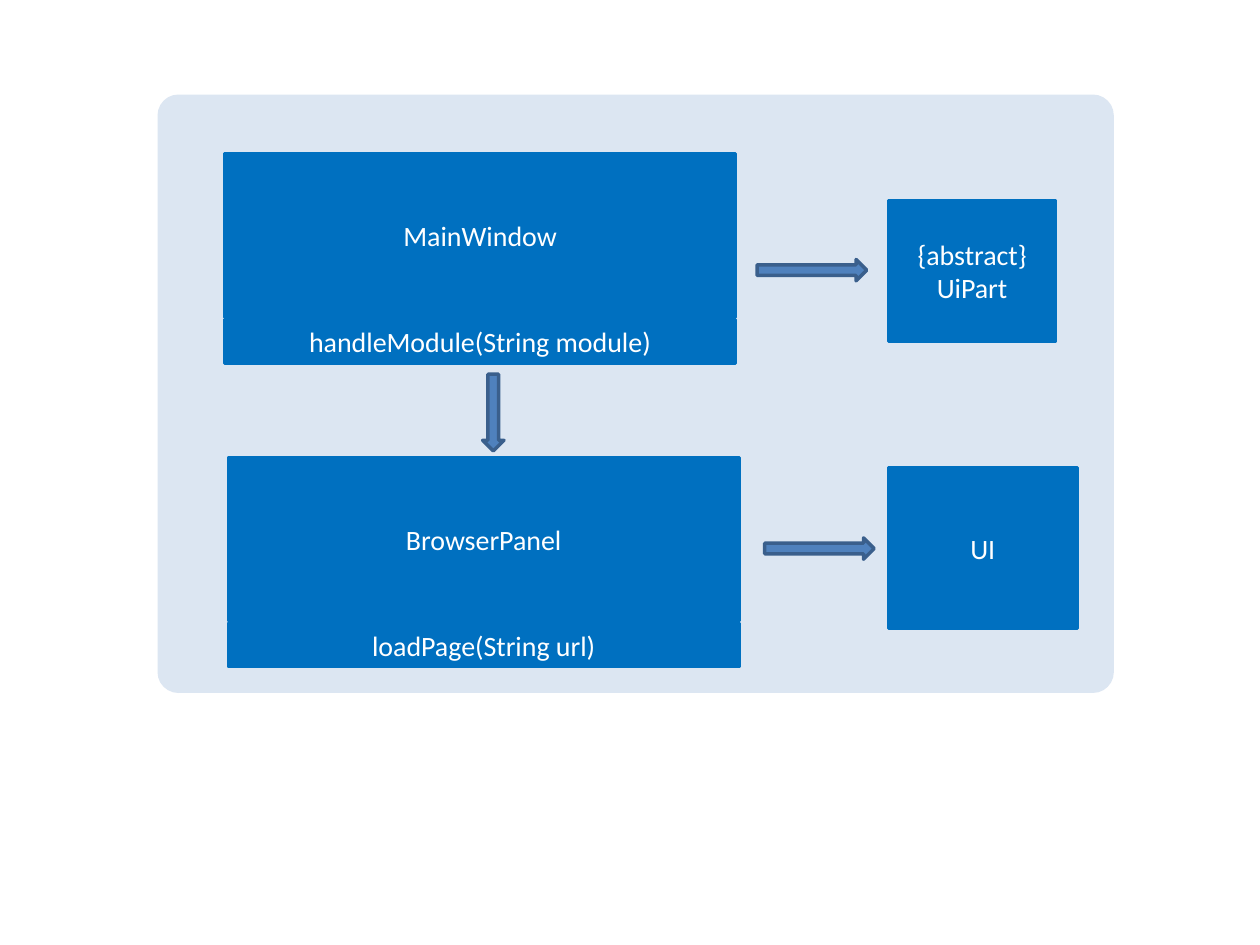
from pptx import Presentation
from pptx.dml.color import RGBColor
from pptx.enum.shapes import MSO_SHAPE as Shape
from pptx.enum.text import MSO_ANCHOR as Anchor, PP_ALIGN as Align
from pptx.util import Pt

COLORS = {
    "panel": "DCE6F2",
    "class": "0070C0",
    "arrow": "4F81BD",
    "arrow edge": "3A5F8C",
    "text": "FFFFFF",
}
FONT, TEXT_SIZE = "Calibri", 16

# Lengths in points: left, top, width, height
PANEL = (90, 54, 546.5, 342)
SIDE_CLASSES = [
    (["UI"], (507.6, 267.1, 108, 92.2)),
    (["{abstract}", "UiPart"], (507.6, 114.5, 95.8, 80.6)),
]
# Class name, method, left, top
METHOD_CLASSES = [
    ("BrowserPanel", "loadPage(String url)", 130.3, 261.4),
    ("MainWindow", "handleModule(String module)", 128.2, 87.8),
]
CLASS_WIDTH, NAME_HEIGHT, METHOD_HEIGHT, ROW_GAP = 292.3, 93.6, 25.2, 1
ARROWS = [
    (Shape.DOWN_ARROW, (275.8, 213.8, 12.2, 43.9)),
    (Shape.RIGHT_ARROW, (432.7, 148.3, 62.6, 12.2)),
    (Shape.RIGHT_ARROW, (437, 307.4, 62.6, 12.2)),
]


def add_filled(page, kind, bounds, fill, edge=None, edge_width=1.5):
    shape = page.shapes.add_shape(kind, *(Pt(length) for length in bounds))
    shape.shadow.inherit = False
    shape.fill.solid()
    shape.fill.fore_color.rgb = RGBColor.from_string(COLORS[fill])
    if edge:
        shape.line.color.rgb = RGBColor.from_string(COLORS[edge])
        shape.line.width = Pt(edge_width)
    else:
        shape.line.fill.background()
    return shape


def add_class_box(page, lines, bounds):
    box = add_filled(page, Shape.RECTANGLE, bounds, "class", "class")
    frame = box.text_frame
    frame.word_wrap = True
    frame.vertical_anchor = Anchor.MIDDLE
    for index, line in enumerate(lines):
        para = frame.add_paragraph() if index else frame.paragraphs[0]
        para.alignment = Align.CENTER
        span = para.add_run()
        span.text = line
        span.font.name = FONT
        span.font.size = Pt(TEXT_SIZE)
        span.font.color.rgb = RGBColor.from_string(COLORS["text"])


def main():
    deck = Presentation()
    deck.slide_width, deck.slide_height = Pt(720), Pt(540)
    page = deck.slides.add_slide(deck.slide_layouts[6])

    panel = add_filled(page, Shape.ROUNDED_RECTANGLE, PANEL, "panel")
    panel.adjustments[0] = 0.035

    for lines, bounds in SIDE_CLASSES:
        add_class_box(page, lines, bounds)
    for name, method, left, top in METHOD_CLASSES:
        method_top = top + NAME_HEIGHT + ROW_GAP
        add_class_box(page, [name], (left, top, CLASS_WIDTH, NAME_HEIGHT))
        add_class_box(page, [method], (left, method_top, CLASS_WIDTH, METHOD_HEIGHT))
    for kind, bounds in ARROWS:
        add_filled(page, kind, bounds, "arrow", "arrow edge", 2)

    deck.save("out.pptx")


if __name__ == "__main__":
    main()
